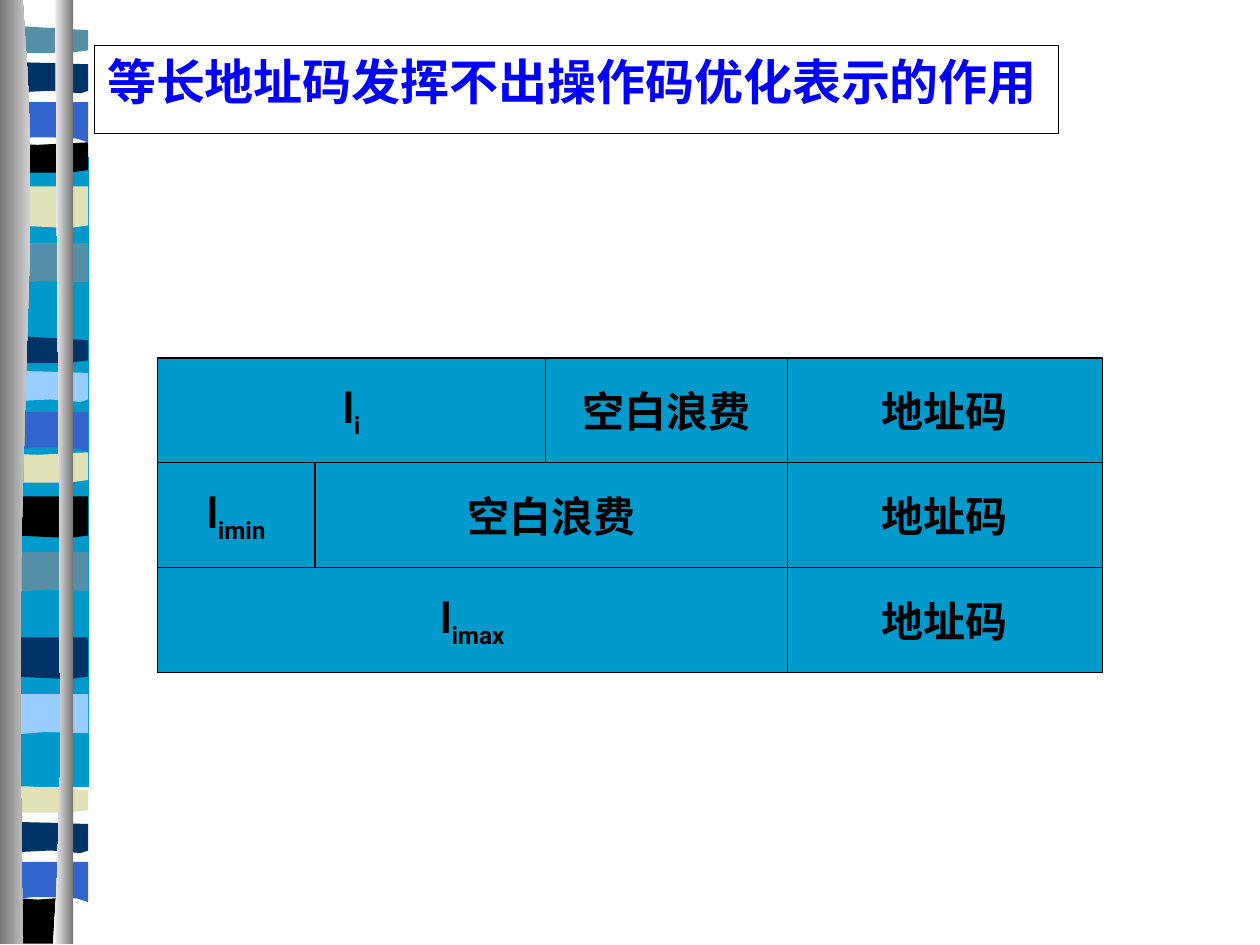
"""Build the slide on equal-length address codes and wasted opcode space."""
import pptx
import pptx.util
import pptx.dml.color
import pptx.enum.shapes
import pptx.enum.text

Inches = pptx.util.Inches
Pt = pptx.util.Pt
RGBColor = pptx.dml.color.RGBColor

WHITE = RGBColor(0xFF, 0xFF, 0xFF)
BLACK = RGBColor(0x00, 0x00, 0x00)
TITLE_BLUE = RGBColor(0x00, 0x00, 0xFF)
CYAN = RGBColor(0x00, 0x99, 0xCC)
TEAL = RGBColor(0x54, 0x90, 0xA8)
SAND = RGBColor(0xE1, 0xE1, 0xB7)
BLUE = RGBColor(0x33, 0x66, 0xCC)
NAVY = RGBColor(0x00, 0x33, 0x66)
LIGHT_BLUE = RGBColor(0x99, 0xCC, 0xFF)
GREY = RGBColor(0x76, 0x76, 0x76)
SILVER = RGBColor(0xD3, 0xD3, 0xD3)


def add_outline(slide, points):
    """Add a closed, lineless freeform through points given in inches."""
    builder = slide.shapes.build_freeform(
        Inches(points[0][0]), Inches(points[0][1]), scale=1.0)
    builder.add_line_segments([(Inches(x), Inches(y)) for x, y in points[1:]], close=True)
    outline = builder.convert_to_shape()
    outline.shadow.inherit = False
    outline.line.fill.background()
    return outline


prs = pptx.Presentation()
prs.slide_width = Inches(10)
prs.slide_height = Inches(7.5)
slide = prs.slides.add_slide(prs.slide_layouts[5])

BAND_EDGES = {
    "wave": [(0, 0), (0.7, 0), (0.7, 0.31), (0.36, 0.3), (0, 0.33)],
    "swell": [(0, 0), (0.7, 0), (0.7, 0.31), (0.55, 0.33), (0.11, 0.31), (0, 0.31)],
    "arch": [(0, 0), (0.7, 0), (0.7, 0.32), (0.61, 0.29), (0.4, 0.28), (0.26, 0.28), (0, 0.31)],
    "crown": [(0, 0.01), (0.2, 0), (0.7, 0.03), (0.7, 0.19), (0.55, 0.21), (0, 0.21)],
    "bowl": [(0, 0.01), (0.3, 0.02), (0.7, 0), (0.7, 0.22), (0.55, 0.24), (0, 0.24)],
    "ripple": [(0, 0.01), (0.4, 0.02), (0.7, 0.03), (0.7, 0.24), (0.64, 0.26), (0.4, 0.24), (0, 0.26)],
}
bands = [
    (1.93, "wave", TEAL), (1.48, "swell", SAND), (0.21, "crown", TEAL),
    (1.13, "bowl", BLACK), (0.81, "arch", BLUE), (0.48, "ripple", NAVY),
    (4.38, "wave", TEAL), (3.94, "swell", BLACK), (2.67, "crown", NAVY),
    (3.59, "bowl", SAND), (3.27, "arch", BLUE), (2.93, "ripple", LIGHT_BLUE),
    (5.51, "wave", LIGHT_BLUE), (5.06, "swell", NAVY), (6.24, "crown", SAND),
    (6.51, "ripple", NAVY), (6.84, "arch", BLUE),
]
strips = [([(0, 1.25), (0.71, 1.25), (0.71, 6.25), (0, 6.25)], CYAN)]
for top, edge, color in bands:
    strips.append(([(x, top + y) for x, y in BAND_EDGES[edge]], color))
strips.append(([(0.02, 7.12), (0.3, 7.14), (0.57, 7.12), (0.57, 7.49), (0.02, 7.49)], BLACK))
for points, color in strips:
    strip = add_outline(slide, points)
    strip.fill.solid()
    strip.fill.fore_color.rgb = color

rods = [
    ([(0, 0), (0.18, 0), (0.22, 0.61), (0.24, 1.17), (0.24, 1.88), (0.21, 2.86),
      (0.17, 4.28), (0.16, 5.69), (0.18, 7.49), (0, 7.49)], GREY, SILVER),
    ([(0.58, 0), (0.44, 0), (0.45, 1.55), (0.47, 3.83), (0.48, 6.06),
      (0.45, 7.06), (0.42, 7.49), (0.58, 7.49)], WHITE, GREY),
]
for points, left_color, right_color in rods:
    rod = add_outline(slide, points)
    rod.fill.gradient()
    rod.fill.gradient_angle = 0
    for stop, position, color in zip(rod.fill.gradient_stops, (0, 1), (left_color, right_color)):
        stop.position = position
        stop.color.rgb = color

title = slide.shapes.title
title.left, title.top = Inches(0.75), Inches(0.36)
title.width, title.height = Inches(7.65), Inches(0.7)
title.fill.solid()
title.fill.fore_color.rgb = WHITE
title.line.color.rgb = BLACK
title.line.width = Pt(0.75)
title.text_frame.text = "等长地址码发挥不出操作码优化表示的作用"
title.text_frame.auto_size = pptx.enum.text.MSO_AUTO_SIZE.NONE
title.text_frame.vertical_anchor = pptx.enum.text.MSO_ANCHOR.TOP
heading = title.text_frame.paragraphs[0]
heading.alignment = pptx.enum.text.PP_ALIGN.LEFT
heading.font.name = "Times New Roman"
heading.font.size = Pt(28)
heading.font.bold = True
heading.font.color.rgb = TITLE_BLUE

FORMAT_LEFT, FORMAT_TOP, ROW_HEIGHT = 1.25, 2.84, 2.5 / 3
ADDRESS = (2.5, "地址码", "")
instruction_formats = [
    [(3.08, "l", "i"), (1.92, "空白浪费", ""), ADDRESS],
    [(1.25, "l", "imin"), (3.75, "空白浪费", ""), ADDRESS],
    [(5, "l", "imax"), ADDRESS],
]
for row, fields in enumerate(instruction_formats):
    left = FORMAT_LEFT
    for width, label, subscript in fields:
        field = slide.shapes.add_shape(
            pptx.enum.shapes.MSO_SHAPE.RECTANGLE, Inches(left),
            Inches(FORMAT_TOP + row * ROW_HEIGHT), Inches(width), Inches(ROW_HEIGHT))
        left += width
        field.shadow.inherit = False
        field.fill.solid()
        field.fill.fore_color.rgb = CYAN
        field.line.color.rgb = BLACK
        field.line.width = Pt(0.75)
        field.text_frame.word_wrap = False
        field.text_frame.vertical_anchor = pptx.enum.text.MSO_ANCHOR.MIDDLE
        caption = field.text_frame.paragraphs[0]
        caption.alignment = pptx.enum.text.PP_ALIGN.CENTER
        caption.font.name = "Roboto"
        caption.font.size = Pt(24)
        caption.font.bold = True
        caption.font.color.rgb = BLACK
        caption.add_run().text = label
        if subscript:
            lowered = caption.add_run()
            lowered.text = subscript
            lowered.font._element.set("baseline", "-25000")

prs.save("out.pptx")
